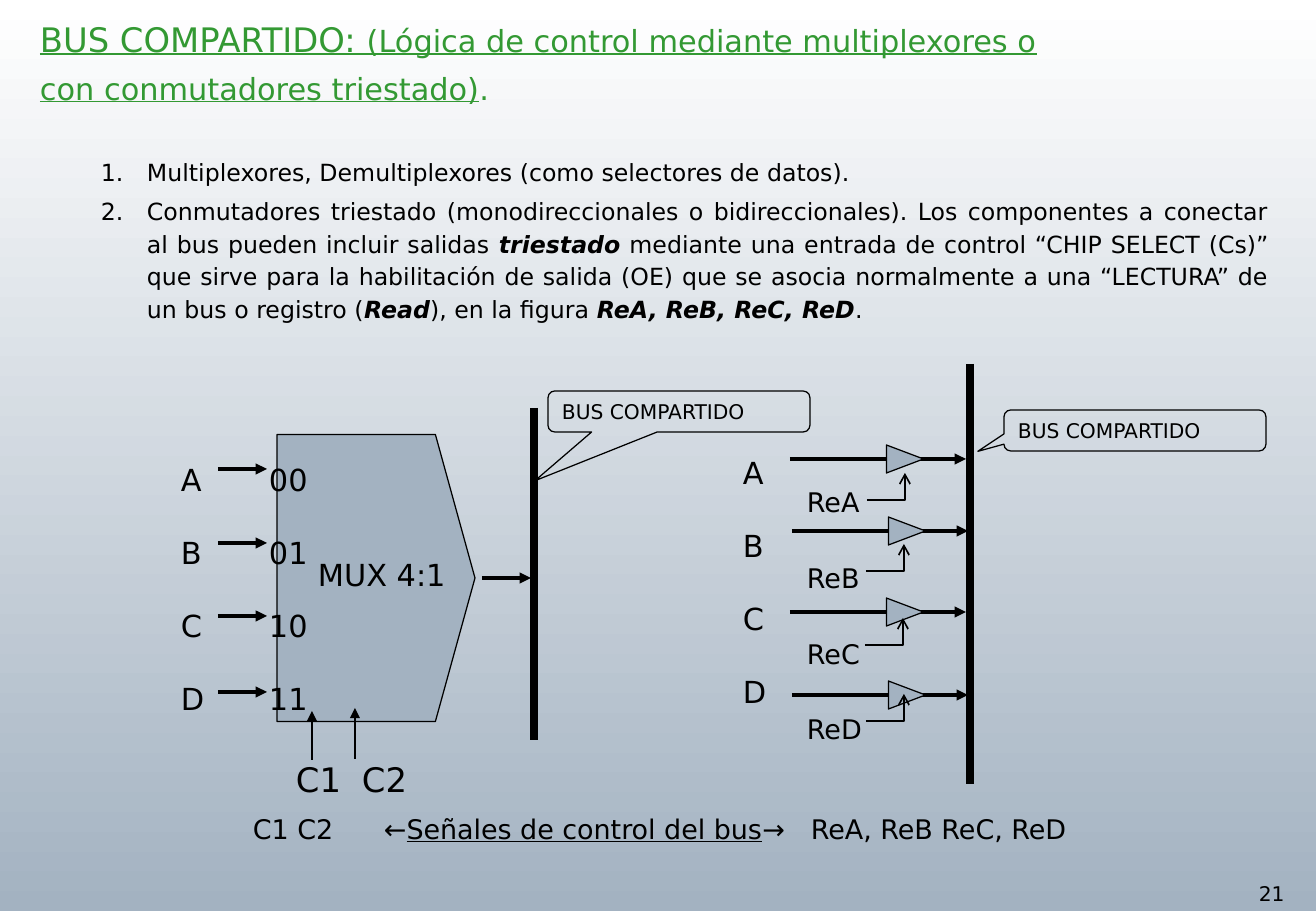
from dataclasses import dataclass
from typing import Optional

from lxml.etree import SubElement
from pptx import Presentation
from pptx.dml.color import RGBColor
from pptx.enum.shapes import MSO_CONNECTOR as Connector
from pptx.enum.shapes import MSO_SHAPE as Preset
from pptx.enum.text import MSO_ANCHOR as Anchor
from pptx.enum.text import PP_ALIGN as Align
from pptx.oxml.ns import qn
from pptx.util import Emu, Pt

FONT = "DejaVu Sans"
BLACK, GREEN, STEEL, WHITE = "000000", "339933", "A3B2C1", "FFFFFF"


@dataclass
class Span:
    text: str
    size: int
    color: str = BLACK
    strong: bool = False
    underline: bool = False


@dataclass
class Para:
    spans: list[Span]
    before: int = 0
    after: int = 0
    spacing: float = 1
    margin: int = 0
    hanging: int = 0
    numbered: bool = False


@dataclass
class Box:
    left: int
    top: int
    width: int
    height: int
    paras: list[Para]


@dataclass
class Line:
    start: tuple[int, int]
    end: tuple[int, int]
    weight: float
    arrow: Optional[str] = "triangle"


@dataclass
class Gate:
    start: int
    level: int
    elbow: tuple[int, int]


@dataclass
class Callout:
    left: int
    top: int
    tip: tuple[float, float]


def px(length: float) -> Emu:
    return Emu(round(length * 7526))


def rgb(color: str) -> RGBColor:
    return RGBColor.from_string(color)


def write(frame, paras: list[Para]) -> None:
    frame.word_wrap = True
    for index, item in enumerate(paras):
        para = frame.paragraphs[0] if index == 0 else frame.add_paragraph()
        props = para._p.get_or_add_pPr()
        props.set("marL", str(px(item.margin)))
        props.set("indent", str(px(-item.hanging)))
        if item.numbered:
            SubElement(props, qn("a:buFont"), typeface=FONT)
            SubElement(props, qn("a:buAutoNum"), type="arabicPeriod")
        para.alignment = Align.JUSTIFY if item.numbered else Align.LEFT
        para.line_spacing = item.spacing
        para.space_before = Pt(item.before)
        para.space_after = Pt(item.after)
        for part in item.spans:
            span = para.add_run()
            span.text = part.text
            span.font.name = FONT
            span.font.size = Pt(part.size)
            span.font.bold = span.font.italic = part.strong
            span.font.underline = part.underline
            span.font.color.rgb = rgb(part.color)


def add_box(page, box: Box) -> None:
    shape = page.shapes.add_textbox(px(box.left), px(box.top), px(box.width), px(box.height))
    write(shape.text_frame, box.paras)


def stroke(shape, weight: float, arrow: Optional[str] = None) -> None:
    shape.line.width = Pt(weight)
    shape.line.color.rgb = rgb(BLACK)
    if arrow:
        SubElement(shape.line._get_or_add_ln(), qn("a:tailEnd"), type=arrow)


def add_line(page, line: Line) -> None:
    shape = page.shapes.add_connector(Connector.STRAIGHT, *map(px, line.start + line.end))
    stroke(shape, line.weight, line.arrow)
    SubElement(shape._element.spPr, qn("a:effectLst"))


def add_turned(page, preset: Preset, center: tuple[int, int], width: int, height: int, angle: int) -> None:
    left, top = center[0] - width / 2, center[1] - height / 2
    shape = page.shapes.add_shape(preset, px(left), px(top), px(width), px(height))
    shape.rotation = angle
    shape.shadow.inherit = False
    shape.fill.solid()
    shape.fill.fore_color.rgb = rgb(STEEL)
    stroke(shape, 0.75)


def add_gate(page, gate: Gate) -> None:
    add_line(page, Line((gate.start, gate.level), (gate.start + 176, gate.level), 2.25))
    add_turned(page, Preset.ISOSCELES_TRIANGLE, (gate.start + 115, gate.level), 28, 37, 90)
    left, bottom = gate.elbow
    builder = page.shapes.build_freeform(px(left), px(bottom))
    corner = px(left + 38)
    builder.add_line_segments([(corner, px(bottom)), (corner, px(bottom - 27))], close=False)
    shape = builder.convert_to_shape()
    shape.shadow.inherit = False
    shape.fill.background()
    stroke(shape, 1, "arrow")


def add_callout(page, callout: Callout) -> None:
    shape = page.shapes.add_shape(
        Preset.ROUNDED_RECTANGULAR_CALLOUT, px(callout.left), px(callout.top), px(262), px(41))
    shape.adjustments[0], shape.adjustments[1] = callout.tip
    shape.shadow.inherit = False
    shape.fill.background()
    stroke(shape, 0.75)
    shape.text_frame.vertical_anchor = Anchor.MIDDLE
    write(shape.text_frame, [Para([Span("BUS COMPARTIDO", 12)])])


def title(before: int, *spans: Span) -> Para:
    return Para(list(spans), before, 3, margin=46, hanging=46)


def item(before: int, *spans: Span) -> Para:
    return Para(list(spans), before, 3, 1.15, 107, 46, True)


def column(left: int, top: int, width: int, labels: list[str]) -> Box:
    return Box(left, top, width, 306, [Para([Span(label, 18)], spacing=2) for label in labels])


def label(left: int, top: int, width: int, height: int, *spans: Span) -> Box:
    return Box(left, top, width, height, [Para(list(spans))])


BOXES = [
    label(1247, 875, 69, 36, Span("21", 12)),
    Box(28, 13, 1253, 332, [
        title(0, Span("BUS COMPARTIDO: ", 20, GREEN, underline=True),
              Span("(Lógica de control mediante multiplexores o", 18, GREEN, underline=True)),
        title(3, Span("con conmutadores triestado)", 18, GREEN, underline=True), Span(".", 18, GREEN)),
        item(25, Span("Multiplexores, Demultiplexores (como selectores de datos).", 14)),
        item(1, Span("Conmutadores triestado (monodireccionales o bidireccionales). Los componentes "
                     "a conectar al bus pueden incluir salidas ", 14),
             Span("triestado", 14, strong=True),
             Span(" mediante una entrada de control “CHIP SELECT (Cs)” que sirve para la "
                  "habilitación de salida (OE) que se asocia normalmente a una “LECTURA” de un "
                  "bus o registro (", 14),
             Span("Read", 14, strong=True), Span("), en la figura ", 14),
             Span("ReA, ReB, ReC, ReD", 14, strong=True), Span(".", 14)),
    ]),
    label(241, 807, 120, 45, Span("C1 C2", 16)),
    label(372, 807, 425, 45, Span("←", 16), Span("Señales de control del bus", 16, underline=True),
          Span("→", 16)),
    label(799, 807, 300, 45, Span("ReA, ReB ReC, ReD", 16)),
    Box(795, 467, 87, 294, [Para([Span(f"Re{name}", 16)], after=18, spacing=1.4) for name in "ABCD"]),
    column(731, 412, 55, list("ABCD")),
    column(169, 419, 55, list("ABCD")),
    column(257, 419, 74, [f"{code:02b}" for code in range(4)]),
    label(306, 550, 157, 49, Span("MUX 4:1", 18)),
    label(284, 753, 72, 53, Span("C1", 20)),
    label(350, 753, 72, 53, Span("C2", 20)),
]
LINES = [
    Line((970, 364), (970, 784), 4.5, None),
    Line((534, 408), (534, 740), 4.5, None),
    Line((482, 578), (531, 578), 2.25),
    Line((312, 760), (312, 711), 1),
    Line((355, 759), (355, 708), 1),
    *[Line((218, level), (267, level), 2.25) for level in (469, 543, 616, 692)],
]
GATES = [
    Gate(790, 459, (867, 500)),
    Gate(792, 531, (866, 571)),
    Gate(790, 612, (865, 645)),
    Gate(792, 695, (866, 721)),
]
CALLOUTS = [Callout(548, 391, (-0.55, 1.69)), Callout(1004, 410, (-0.6, 0.51))]


def main() -> None:
    deck = Presentation()
    deck.slide_width, deck.slide_height = px(1316), px(911)
    page = deck.slides.add_slide(deck.slide_layouts[6])
    backdrop = page.background.fill
    backdrop.gradient()
    backdrop.gradient_angle = 270
    for stop, color, position in zip(backdrop.gradient_stops, (WHITE, STEEL), (0, 1)):
        stop.color.rgb = rgb(color)
        stop.position = position
    add_turned(page, Preset.FLOWCHART_OFFPAGE_CONNECTOR, (376, 578), 287, 198, 270)
    for line in LINES:
        add_line(page, line)
    for gate in GATES:
        add_gate(page, gate)
    for box in BOXES:
        add_box(page, box)
    for callout in CALLOUTS:
        add_callout(page, callout)
    deck.save("out.pptx")


if __name__ == "__main__":
    main()
